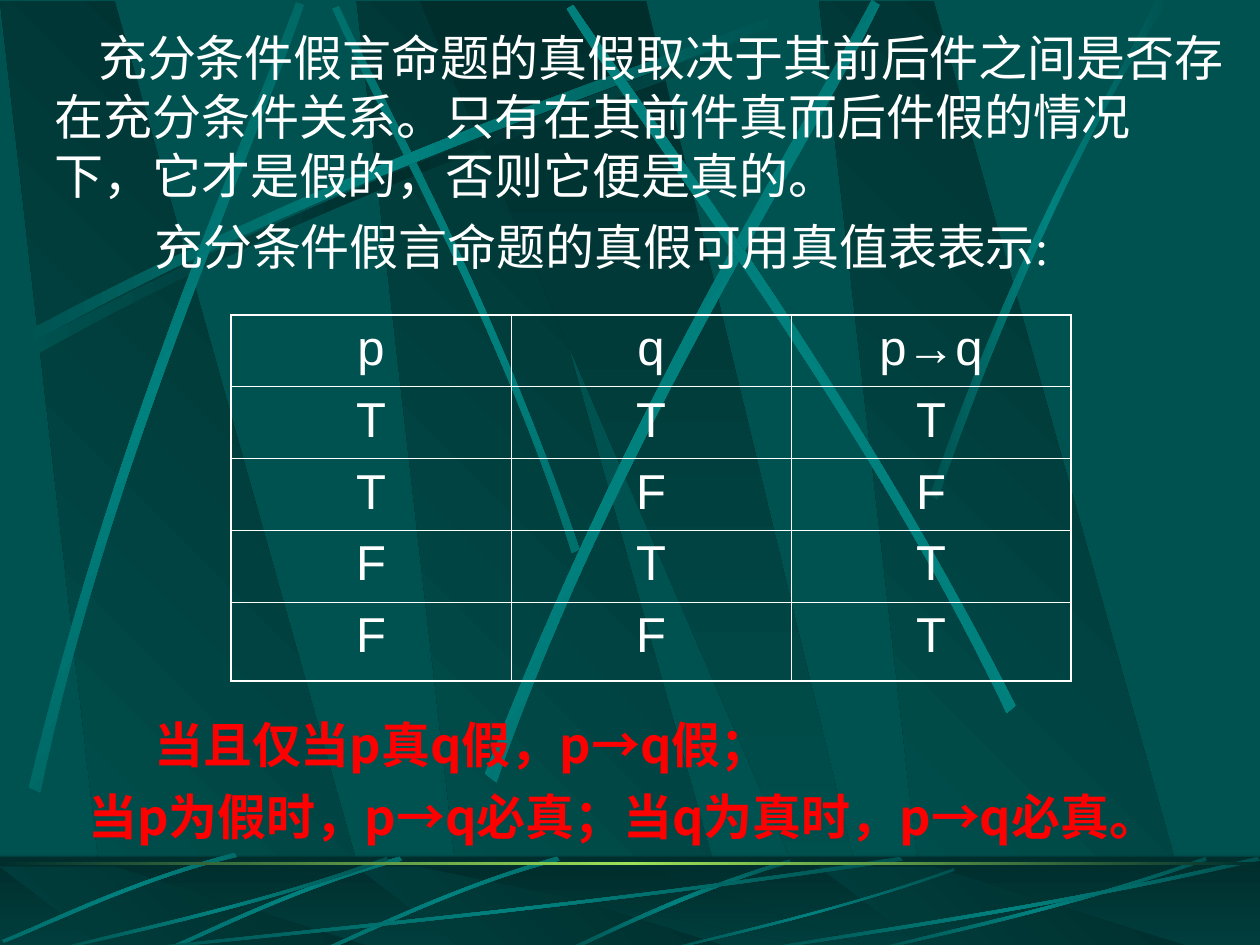
from copy import deepcopy

from lxml.etree import SubElement
from pptx import Presentation
from pptx.dml.color import RGBColor
from pptx.enum.shapes import MSO_SHAPE
from pptx.enum.text import PP_ALIGN
from pptx.oxml.ns import qn
from pptx.util import Pt

DARK, TEAL, BRIGHT = "002E2D", "005250", "00817E"
WHITE, RED, LIME = "FFFFFF", "FF0000", "9CE157"
CJK = "Noto Sans CJK SC"
GLOW = (TEAL, BRIGHT, TEAL)
SHADE = (TEAL, DARK, TEAL)
GRID = 0.72

SHORT_BLADE = [(308, 683), (193, 723), (88, 744), (43, 755),
               (42, 754), (86, 741), (206, 718), (307, 680)]
TILTED_BLADE = [(317, 680), (230, 705), (162, 740), (131, 753),
                (132, 755), (163, 743), (240, 703), (319, 683)]

UPPER_BLADES = [
    (SHADE, 0, [(20, 275), (284, 134), (524, 59), (626, 18),
                (629, 24), (528, 69), (254, 151), (23, 285)]),
    (GLOW, 315, [(460, 436), (391, 234), (302, 77), (269, 5),
                 (264, 7), (295, 79), (398, 258), (454, 439)]),
    (GLOW, 0, [(14, 267), (278, 125), (518, 51), (620, 10),
               (623, 16), (522, 61), (248, 143), (17, 277)]),
    (GLOW, 48.3, [(23, 625), (93, 334), (197, 105), (235, 2),
                  (241, 4), (207, 108), (86, 368), (32, 629)]),
    (GLOW, 38.4, [(385, 614), (498, 320), (638, 102), (692, 0),
                  (698, 4), (649, 108), (486, 355), (394, 621)]),
    (GLOW, 325.2, [(806, 560), (670, 293), (516, 95), (455, 4),
                   (450, 7), (507, 101), (685, 325), (799, 566)]),
    (GLOW, 0, [(738, 393), (814, 173), (888, 66), (917, 0),
               (927, 0), (836, 145), (769, 322), (744, 397)]),
]
LOWER_BLADES = [
    (0, [(627, 682), (537, 709), (477, 742), (448, 754),
         (453, 755), (490, 737), (571, 700), (628, 685)]),
    (45.1, [(x + 125, y) for x, y in TILTED_BLADE]),
    (45.1, TILTED_BLADE),
    (45.1, [(186, 677), (99, 700), (33, 734), (2, 746),
            (3, 748), (34, 737), (110, 698), (188, 680)]),
    (0, [(717, 683), (449, 723), (206, 744), (103, 755),
         (100, 754), (202, 741), (480, 718), (714, 680)]),
    (0, SHORT_BLADE),
    (0, [(758, 691), (658, 726), (567, 745), (528, 755),
         (527, 754), (565, 743), (669, 722), (757, 689)]),
    (0, [(x + 650, y) for x, y in SHORT_BLADE]),
    (0, [(1000, 683), (827, 723), (669, 744), (602, 755),
         (600, 754), (666, 741), (846, 718), (998, 680)]),
]
PARAGRAPHS = [
    ("充分条件假言命题的真假取决于其前后件之间是否存在充分条件关系。"
     "只有在其前件真而后件假的情况下，它才是假的，否则它便是真的。", 25, 0, False),
    ("充分条件假言命题的真假可用真值表表示:", 57, 7, False),
    ("当且仅当p真q假，p→q假；", 57, 251, True),
    ("当p为假时，p→q必真；当q为真时，p→q必真。", 19.5, 7, True),
]
TRUTH_ROWS = ["p q p→q", "T T T", "T F F", "F T T", "F F T"]


def rgb(value):
    """Return the colour for a hex string."""
    return RGBColor.from_string(value)


def paint_gradient(shape, colors, angle):
    """Fill a shape with evenly spaced stops at a clockwise angle."""
    shape.shadow.inherit = False
    shape.line.fill.background()
    shape.fill.gradient()
    shape.fill.gradient_angle = 360 - angle
    stop_list = shape.element.spPr.find(qn("a:gradFill")).find(qn("a:gsLst"))
    while len(stop_list) < len(colors):
        stop_list.append(deepcopy(stop_list[0]))
    for index, (stop, color) in enumerate(zip(shape.fill.gradient_stops, colors)):
        stop.position = index / (len(colors) - 1)
        stop.color.rgb = rgb(color)


def add_outline(page, points, colors, angle):
    """Draw a closed gradient outline from grid points."""
    corners = [(Pt(x * GRID), Pt(y * GRID)) for x, y in points]
    builder = page.shapes.build_freeform(*corners[0])
    builder.add_line_segments(corners[1:], close=True)
    shape = builder.convert_to_shape()
    paint_gradient(shape, colors, angle)
    return shape


def add_blade(page, points, colors, angle):
    """Draw a blade whose two long edges are cubic curves."""
    shape = add_outline(page, points, colors, angle)
    lines = list(shape.element.iter(qn("a:lnTo")))
    for edge in (lines[:3], lines[4:7]):
        bend = edge[0].makeelement(qn("a:cubicBezTo"), {})
        edge[0].addprevious(bend)
        for line in edge:
            bend.append(line[0])
            line.getparent().remove(line)


def add_panels(page, top, height):
    """Draw the three slanted panels and the wide one over them."""
    bottom = top + height
    for left in (283, 0, 650):
        slant = [(left + 86, bottom), (left + 302, bottom), (left + 91, top), (left, top)]
        add_outline(page, slant, (DARK, TEAL), 135)
    add_outline(page, [(333, top), (658, bottom), (694, bottom), (513, top)], (DARK, TEAL), 90)


def add_band(page, top, height, colors, angle):
    """Draw a gradient band across the page."""
    band = page.shapes.add_shape(MSO_SHAPE.RECTANGLE, 0, Pt(top), Pt(720), Pt(height))
    paint_gradient(band, colors, angle)
    return band


def add_veil(page):
    """Draw the half transparent band over the floor."""
    veil = add_band(page, 488.9, 54, (DARK, DARK), 0)
    veil.fill.solid()
    veil.fill.fore_color.rgb = rgb(DARK)
    color = veil.element.spPr.find(qn("a:solidFill"))[0]
    SubElement(color, qn("a:alpha"), val="50000")


def format_span(span, font, east_asian, color, bold=False):
    """Set the fonts, colour and weight of a run."""
    span.font.name = font
    span.font.size = Pt(28)
    span.font.bold = bold
    span.font.color.rgb = rgb(color)
    SubElement(span.font._element, qn("a:ea"), typeface=east_asian)


def add_explanation(page):
    """Add the explanation around the truth table."""
    box = page.shapes.add_textbox(Pt(24), Pt(13), Pt(683.28), Pt(514.8))
    frame = box.text_frame
    frame.word_wrap = True
    frame.margin_top = Pt(2.6)
    for index, (text, indent, space, is_rule) in enumerate(PARAGRAPHS):
        para = frame.add_paragraph() if index else frame.paragraphs[0]
        para.text = text
        para.line_spacing = Pt(33.7)
        para.space_before = Pt(space)
        para.alignment = PP_ALIGN.JUSTIFY if is_rule else PP_ALIGN.LEFT
        properties = para._p.get_or_add_pPr()
        properties.set("indent", str(Pt(indent)))
        properties.set("hangingPunct", "0")
        font, color = (CJK, RED) if is_rule else ("Times New Roman", WHITE)
        format_span(para.runs[0], font, CJK, color, is_rule)


def add_borders(cell, widths):
    """Draw the left, right, top and bottom borders of a cell."""
    properties = cell._tc.get_or_add_tcPr()
    for index, (side, width) in enumerate(zip("LRTB", widths)):
        line = properties.makeelement(qn(f"a:ln{side}"), {"w": str(Pt(width))})
        SubElement(SubElement(line, qn("a:solidFill")), qn("a:srgbClr"), val=WHITE)
        properties.insert(index, line)


def add_truth_table(page):
    """Add the truth table with a heavier outer frame."""
    rows = [row.split() for row in TRUTH_ROWS]
    last_row, last_column = len(rows) - 1, len(rows[0]) - 1
    table = page.shapes.add_table(len(rows), len(rows[0]), Pt(132), Pt(180), Pt(480), Pt(209)).table
    table.first_row = table.horz_banding = False
    for r, values in enumerate(rows):
        table.rows[r].height = Pt(45.2 if r == last_row else 41)
        for c, value in enumerate(values):
            cell = table.cell(r, c)
            cell.fill.background()
            para = cell.text_frame.paragraphs[0]
            para.text = value
            para.alignment = PP_ALIGN.CENTER
            format_span(para.runs[0], "Arial", "Arial", WHITE)
            outer = (c == 0, c == last_column, r == 0, r == last_row)
            add_borders(cell, [1.08 if edge else 0.45 for edge in outer])


def main():
    """Build the slide and save it."""
    deck = Presentation()
    deck.slide_width, deck.slide_height = Pt(720), Pt(540)
    page = deck.slides.add_slide(deck.slide_layouts[6])
    page.background.fill.solid()
    page.background.fill.fore_color.rgb = rgb(TEAL)
    add_panels(page, 1, 751)
    for colors, angle, points in UPPER_BLADES:
        add_blade(page, points, colors, angle)
    add_band(page, 489.6, 54, (DARK, TEAL), 90)
    add_panels(page, 688, 66)
    add_veil(page)
    for angle, points in LOWER_BLADES:
        add_blade(page, points, GLOW, angle)
    add_band(page, 492.5, 1.7, (DARK, LIME, DARK), 0)
    add_explanation(page)
    add_truth_table(page)
    deck.save("out.pptx")


if __name__ == "__main__":
    main()
